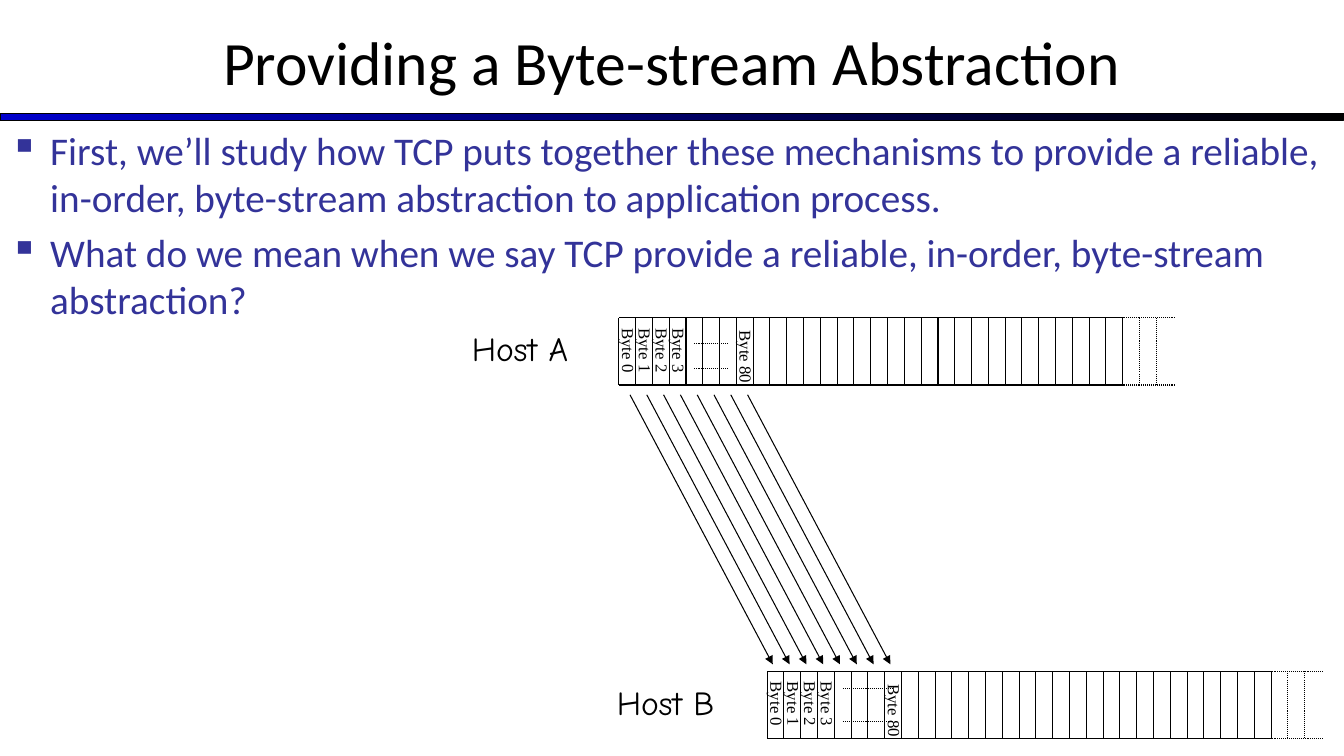
from lxml import etree
from pptx import Presentation
from pptx.dml.color import RGBColor
from pptx.enum.dml import MSO_LINE
from pptx.enum.shapes import MSO_CONNECTOR, MSO_SHAPE
from pptx.enum.text import MSO_ANCHOR, MSO_AUTO_SIZE, PP_ALIGN
from pptx.oxml.ns import qn
from pptx.util import Pt

STRAIGHT = MSO_CONNECTOR.STRAIGHT
DOTTED = MSO_LINE.ROUND_DOT
RECTANGLE = MSO_SHAPE.RECTANGLE
MIDDLE, TOP = MSO_ANCHOR.MIDDLE, MSO_ANCHOR.TOP
CENTER, LEFT = PP_ALIGN.CENTER, PP_ALIGN.LEFT
GROW, FIXED = MSO_AUTO_SIZE.SHAPE_TO_FIT_TEXT, MSO_AUTO_SIZE.NONE

BLACK = RGBColor(0, 0, 0)
BLUE = RGBColor(0, 0, 0xCC)
INDIGO = RGBColor(0x33, 0x33, 0x99)

CELL = 12
CELLS = 30
STREAM_HEIGHT = 48

prs = Presentation()
prs.slide_width, prs.slide_height = Pt(960), Pt(540)
slide = prs.slides.add_slide(prs.slide_layouts[6])


def add_text(*paragraphs, box, size, font, color=BLACK, align=LEFT, anchor=TOP,
             wrap=False, rotation=0, bullet=None):
    holder = slide.shapes.add_textbox(*[Pt(v) for v in box])
    holder.rotation = rotation
    frame = holder.text_frame
    frame.word_wrap = wrap
    frame.auto_size = FIXED if wrap else GROW
    frame.vertical_anchor = anchor
    for i, words in enumerate(paragraphs):
        paragraph = frame.add_paragraph() if i else frame.paragraphs[0]
        paragraph.alignment = align
        run = paragraph.add_run()
        run.text = words
        run.font.size = Pt(size)
        run.font.name = font
        run.font.color.rgb = color
        if bullet:
            paragraph.space_before = Pt(size * 0.2)
            props = paragraph._p.get_or_add_pPr()
            props.set("marL", str(Pt(28.8)))
            props.set("indent", str(Pt(-28.8)))
            tint = etree.SubElement(props, qn("a:buClr"))
            etree.SubElement(tint, qn("a:srgbClr"), val=str(color))
            etree.SubElement(props, qn("a:buChar"), char=bullet)


def add_line(x1, y1, x2, y2, dash=None, arrow=False):
    line = slide.shapes.add_connector(STRAIGHT, Pt(x1), Pt(y1), Pt(x2), Pt(y2))
    line.line.color.rgb = BLACK
    line.line.width = Pt(0.75)
    if dash:
        line.line.dash_style = dash
    if arrow:
        etree.SubElement(line.line._get_or_add_ln(), qn("a:tailEnd"), type="triangle")
    etree.SubElement(line._element.spPr, qn("a:effectLst"))


rule = slide.shapes.add_shape(RECTANGLE, Pt(0), Pt(81), Pt(960), Pt(5))
rule.shadow.inherit = False
rule.fill.gradient()
rule.fill.gradient_angle = 0
for stop, color, position in zip(rule.fill.gradient_stops, (BLUE, BLACK), (0, 1)):
    stop.color.rgb = color
    stop.position = position
rule.line.color.rgb = BLACK
rule.line.width = Pt(0.75)

add_text(
    "First, we’ll study how TCP puts together these mechanisms to provide a reliable, "
    "in-order, byte-stream abstraction to application process.",
    "What do we mean when we say TCP provide a reliable, in-order, byte-stream abstraction?",
    box=(0, 87, 960, 446), size=28, font="Calibri", color=INDIGO, wrap=True, bullet="▪")
add_text("Providing a Byte-stream Abstraction", box=(0, 0, 960, 87), size=44,
         font="Calibri", align=CENTER, anchor=MIDDLE, wrap=True)

streams = [
    ("Host A", 330, 93.6, 442, 227, 78, (18.5, 36.5)),
    ("Host B", 433.5, 91.4, 548, 479.5, 90, (12.3, 36)),
]
bytes_shown = [(0, "Byte 0", 46.8, 13), (1, "Byte 1", 46.8, 13), (2, "Byte 2", 46.8, 13),
               (3, "Byte 3", 46.8, 13), (7, "Byte 80", 52.6, 17.6)]

for host, host_left, host_width, left, top, gap_end, gap_rows in streams:
    bottom = top + STREAM_HEIGHT
    right = left + CELL * CELLS
    for edge in (top, bottom):
        add_line(left, edge, right, edge)
        add_line(right + 37, edge, right, edge, dash=DOTTED)
    for i in range(CELLS + 3):
        x = left + CELL * i
        add_line(x, top, x, bottom, dash=DOTTED if i > CELLS else None)
    for i, label, width, drop in bytes_shown:
        middle = left + 7 + CELL * i
        add_text(label, box=(middle - width / 2, top + drop, width, 21.6), size=12,
                 font="Times New Roman", rotation=89.8)
    for drop in gap_rows:
        add_line(left + 54, top + drop, left + gap_end, top + drop, dash=DOTTED)
    add_text(host, box=(host_left, top + 4, host_width, 36), size=24, font="Comic Neue")

for i in range(8):
    add_line(450 + CELL * i, 282, 552 + CELL * i, 474.5, arrow=True)

prs.save("out.pptx")
